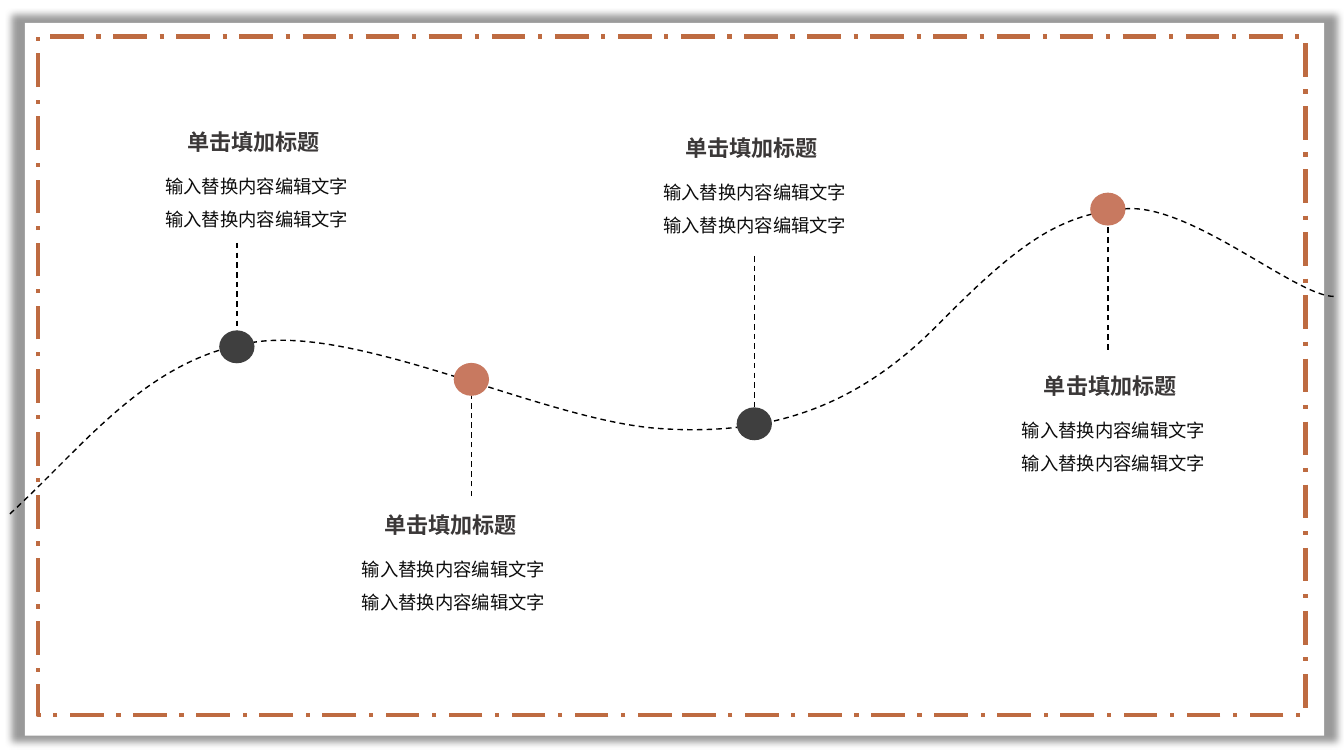
from lxml import etree
from pptx import Presentation
from pptx.dml.color import RGBColor
from pptx.enum.dml import MSO_LINE
from pptx.enum.shapes import MSO_CONNECTOR, MSO_SHAPE
from pptx.enum.text import MSO_AUTO_SIZE, PP_ALIGN
from pptx.oxml import parse_xml
from pptx.oxml.ns import nsdecls, qn
from pptx.util import Cm, Pt

DARK, CLAY, FRAME = "3F3F3F", "C87960", "BE6B41"


def color(value):
    return RGBColor.from_string(value)


def style_line(line, value, width, dash):
    line.color.rgb = color(value)
    line.width = Pt(width)
    line.dash_style = dash


deck = Presentation()
deck.slide_width, deck.slide_height = Cm(33.87), Cm(19.05)
page = deck.slides.add_slide(deck.slide_layouts[6])
shapes = page.shapes

# White card with an even shadow around it
card = shapes.add_shape(MSO_SHAPE.RECTANGLE, Cm(0.63), Cm(0.58), Cm(32.74), Cm(17.96))
card.fill.solid()
card.fill.fore_color.rgb = color("FFFFFF")
card.line.fill.background()
card._element.spPr.append(parse_xml(
    f'<a:effectLst {nsdecls("a")}><a:outerShdw blurRad="63500" sx="102000" sy="102000" '
    'algn="ctr" rotWithShape="0"><a:srgbClr val="000000"><a:alpha val="40000"/>'
    '</a:srgbClr></a:outerShdw></a:effectLst>'))

# Dash-dot frame
frame = shapes.add_shape(MSO_SHAPE.RECTANGLE, Cm(0.95), Cm(0.92), Cm(31.95), Cm(17.1))
frame.shadow.inherit = False
frame.fill.background()
style_line(frame.line, FRAME, 3, MSO_LINE.LONG_DASH_DOT)

# Wavy timeline: each row is two control points and an end point
curve_start = (0.25, 12.95)
curve_rows = [
    [(2.18, 11.18), (3.76, 8.97), (6.5, 8.61)],
    [(9.22, 8.26), (13.79, 10.62), (16.64, 10.8)],
    [(19.51, 11), (21.67, 10.19), (23.67, 8.15)],
    [(25.68, 6.12), (26.72, 5.38), (28.4, 5.26)],
    [(30.05, 5.16), (32.69, 7.49), (33.63, 7.47)],
]
builder = shapes.build_freeform(Cm(curve_start[0]), Cm(curve_start[1]))
builder.add_line_segments(
    [(Cm(x), Cm(y)) for row in curve_rows for x, y in row], close=False)
curve = builder.convert_to_shape()
curve.shadow.inherit = False
curve.fill.background()
style_line(curve.line, "000000", 1, MSO_LINE.DASH)

# Merge every three straight segments into one Bézier segment
segments = list(curve._element.iter(qn("a:lnTo")))
for first in range(0, len(segments), 3):
    bezier = etree.Element(qn("a:cubicBezTo"))
    segments[first].addprevious(bezier)
    for segment in segments[first:first + 3]:
        bezier.append(segment[0])
        segment.getparent().remove(segment)

# Milestones: dot centre, far end of the stem, heading corner, dot colour
milestones = [
    (5.97, 8.74, 6.12, 4.11, 3.1, DARK),
    (11.88, 9.56, 12.5, 9.07, 12.75, CLAY),
    (19.01, 10.68, 6.45, 16.66, 3.25, DARK),
    (27.92, 5.27, 8.81, 25.7, 9.25, CLAY),
]
dot_width, dot_height = 0.89, 0.83
for x, y, stem_end, left, top, dot_color in milestones:
    # Stem from the edge of the dot
    side = 1 if stem_end > y else -1
    stem = shapes.add_connector(MSO_CONNECTOR.STRAIGHT, Cm(x), Cm(stem_end),
                                Cm(x), Cm(y + side * dot_height / 2))
    style_line(stem.line, "000000", 1, MSO_LINE.DASH)
    etree.SubElement(stem._element.spPr, qn("a:effectLst"))

    # Dot
    dot = shapes.add_shape(MSO_SHAPE.OVAL, Cm(x - dot_width / 2), Cm(y - dot_height / 2),
                           Cm(dot_width), Cm(dot_height))
    dot.shadow.inherit = False
    dot.fill.solid()
    dot.fill.fore_color.rgb = color(dot_color)
    dot.line.fill.background()

    # Heading
    heading = shapes.add_textbox(Cm(left), Cm(top), Cm(4.57), Cm(0.76)).text_frame
    heading.margin_left = heading.margin_right = 0
    heading.margin_top = heading.margin_bottom = 0
    heading.text = "单击填加标题"
    heading.paragraphs[0].line_spacing = 1.2

    # Two lines of text
    body = shapes.add_textbox(Cm(left - 1.22), Cm(top + 1.18), Cm(7.16), Cm(2.51)).text_frame
    body.text = "输入替换内容编辑文字\n输入替换内容编辑文字"
    body.paragraphs[1].space_before = Pt(7.9)

    for box, size, bold, text_color in ((heading, 15.8, True, "3B3838"),
                                        (body, 13.1, False, "0D0D0D")):
        box.word_wrap = True
        box.auto_size = MSO_AUTO_SIZE.SHAPE_TO_FIT_TEXT
        for para in box.paragraphs:
            para.alignment = PP_ALIGN.CENTER
            para.font.name = "Open Sans"
            para.font.size = Pt(size)
            para.font.bold = bold
            para.font.color.rgb = color(text_color)

deck.save("out.pptx")
